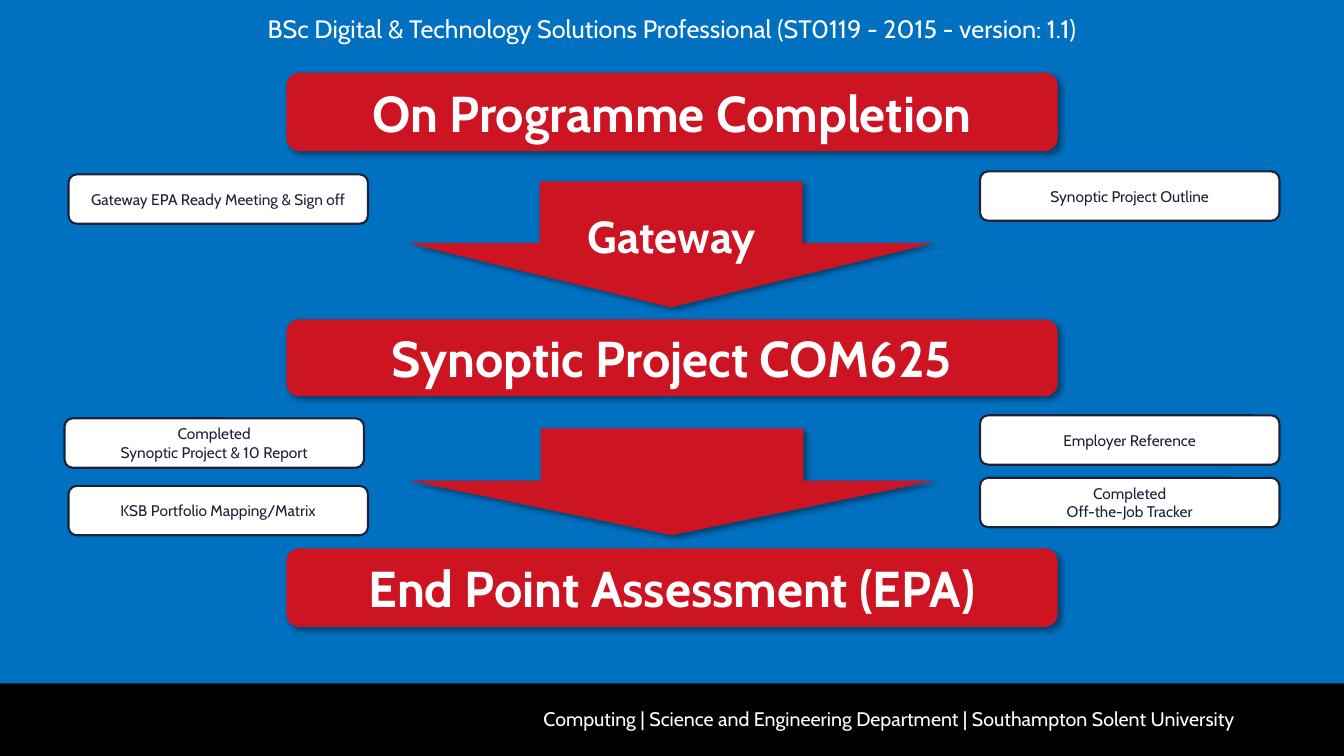
from pptx import Presentation
from pptx.dml.color import RGBColor
from pptx.enum.shapes import MSO_SHAPE
from pptx.enum.text import MSO_ANCHOR, PP_ALIGN
from pptx.oxml import parse_xml
from pptx.oxml.ns import nsdecls, qn
from pptx.util import Inches, Pt

RECTANGLE = MSO_SHAPE.RECTANGLE
ROUNDED = MSO_SHAPE.ROUNDED_RECTANGLE
DOWN_ARROW = MSO_SHAPE.DOWN_ARROW
TOP, MIDDLE = MSO_ANCHOR.TOP, MSO_ANCHOR.MIDDLE
LEFT, CENTER = PP_ALIGN.LEFT, PP_ALIGN.CENTER

BLUE = RGBColor(0x00, 0x70, 0xC0)
RED = RGBColor(0xCD, 0x14, 0x23)
NAVY = RGBColor(0x1D, 0x21, 0x36)
WHITE = RGBColor(0xFF, 0xFF, 0xFF)
BLACK = RGBColor(0x00, 0x00, 0x00)

SHADOW = (
    f'<a:outerShdw {nsdecls("a")} blurRad="50800" dist="38100" dir="2700000" '
    'algn="tl" rotWithShape="0"><a:srgbClr val="000000">'
    '<a:alpha val="40000"/></a:srgbClr></a:outerShdw>'
)


def add_block(shapes, kind, box, fill, shadow=False):
    block = shapes.add_shape(kind, *map(Inches, box))
    block.fill.solid()
    block.fill.fore_color.rgb = fill
    block.line.fill.background()
    block.shadow.inherit = False
    if shadow:
        effects = block._element.spPr.find(qn("a:effectLst"))
        effects.append(parse_xml(SHADOW))
    return block


def write(holder, text, size, color, bold=False, align=CENTER, **frame_format):
    frame = holder.text_frame
    settings = {"word_wrap": True, "vertical_anchor": MIDDLE} | frame_format
    for name, value in settings.items():
        setattr(frame, name, value)
    paragraph = frame.paragraphs[0]
    paragraph.text = text
    paragraph.alignment = align
    for run in paragraph.runs:
        for name, value in {"name": "Cabin", "size": Pt(size), "bold": bold}.items():
            setattr(run.font, name, value)
        run.font.color.rgb = color


prs = Presentation()
prs.slide_width = Inches(13.33)
prs.slide_height = Inches(7.5)
slide = prs.slides.add_slide(prs.slide_layouts[6])
slide.background.fill.solid()
slide.background.fill.fore_color.rgb = BLUE
shapes = slide.shapes

# Footer band
add_block(shapes, RECTANGLE, (0, 6.78, 13.33, 0.72), BLACK)
department = shapes.add_textbox(Inches(4.89), Inches(7.01), Inches(8.1), Inches(0.25))
no_insets = {f"margin_{side}": 0 for side in ("left", "top", "right", "bottom")}
write(department, "Computing | Science and Engineering Department | Southampton Solent University",
      14, WHITE, align=LEFT, vertical_anchor=TOP, **no_insets | {"margin_left": Inches(0.5)})

# Course heading
course = shapes.add_textbox(0, Inches(0.08), Inches(13.33), Inches(0.4))
write(course, "BSc Digital & Technology Solutions Professional (ST0119 - 2015 - version: 1.1)",
      18, WHITE, vertical_anchor=TOP)

# Stages
for stage, top, height in [
    ("On Programme Completion", 0.72, 0.78),
    ("Synoptic Project COM625", 3.17, 0.76),
    ("End Point Assessment (EPA)", 5.44, 0.78),
]:
    banner = add_block(shapes, ROUNDED, (2.84, top, 7.65, height), RED, shadow=True)
    write(banner, stage, 36, WHITE, bold=True)

# Arrows between stages, the first grouped with its label
gateway = shapes.add_group_shape()
for parent, left, top, height in [(gateway.shapes, 4.05, 1.8, 1.25), (shapes, 4.06, 4.25, 1.06)]:
    arrow = add_block(parent, DOWN_ARROW, (left, top, 5.21, height), RED, shadow=True)
    arrow.adjustments[0] = 0.5
    arrow.adjustments[1] = 0.51
gateway_label = gateway.shapes.add_textbox(Inches(5.36), Inches(2.07), Inches(2.6), Inches(0.35))
write(gateway_label, "Gateway", 32, WHITE, bold=True, vertical_anchor=TOP,
      **no_insets | {"word_wrap": False})

# Required evidence on both sides
for evidence, left, top in [
    ("Gateway EPA Ready Meeting & Sign off", 0.68, 1.73),
    ("Synoptic Project Outline", 9.72, 1.7),
    ("Completed\vSynoptic Project & 10 Report", 0.64, 4.15),
    ("KSB Portfolio Mapping/Matrix", 0.68, 4.82),
    ("Employer Reference", 9.72, 4.12),
    ("Completed\vOff-the-Job Tracker", 9.72, 4.74),
]:
    card = add_block(shapes, ROUNDED, (left, top, 2.97, 0.49), WHITE)
    card.line.color.rgb = NAVY
    card.line.width = Pt(1.5)
    write(card, evidence, 11, NAVY)

prs.save("out.pptx")
